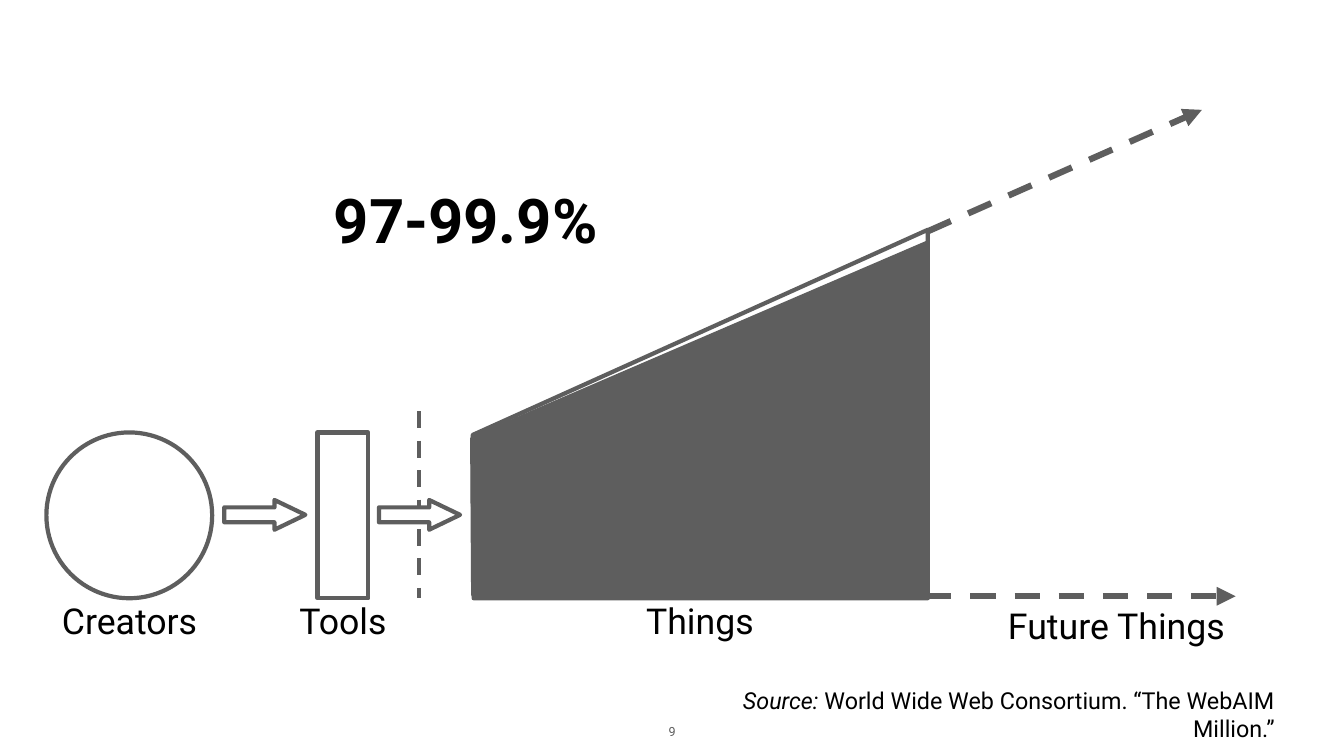
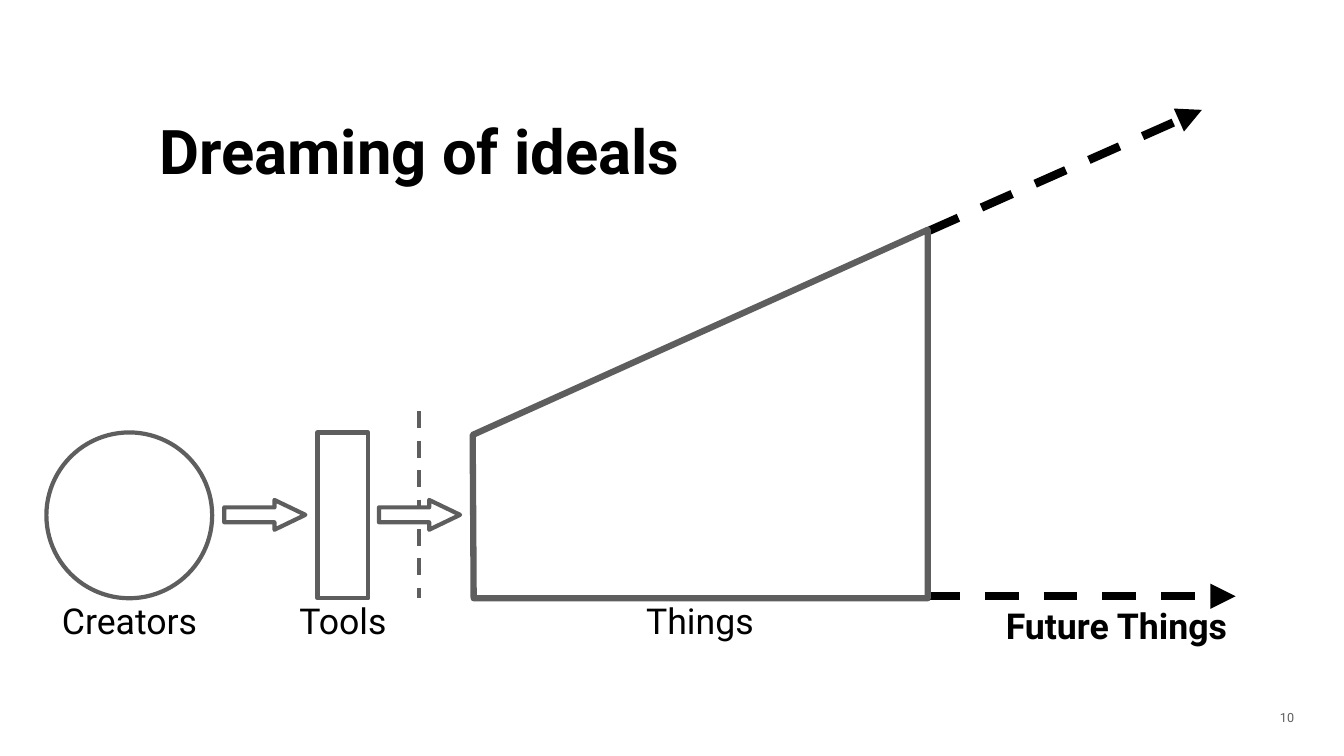
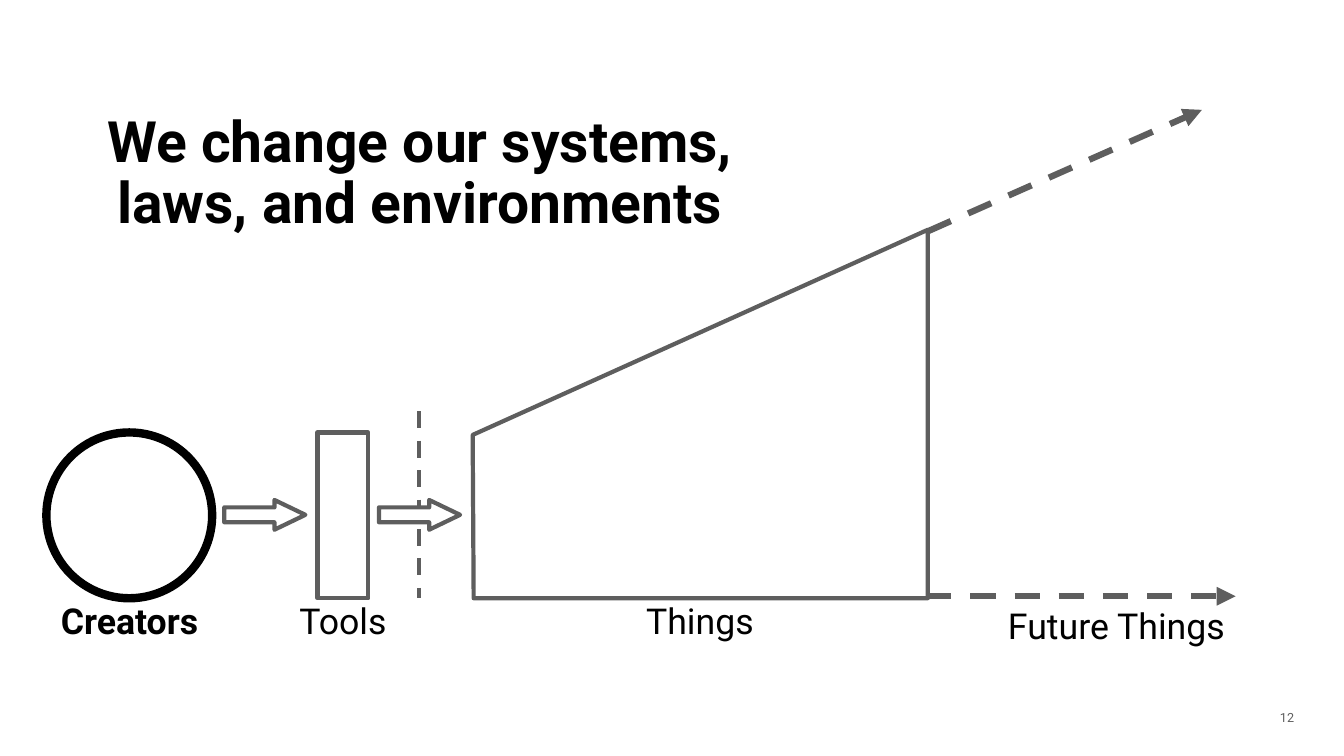
from lxml import etree
from pptx import Presentation
from pptx import util as u
from pptx.dml.color import RGBColor
from pptx.enum import dml, shapes, text
from pptx.oxml import ns

BLACK = RGBColor(0x00, 0x00, 0x00)
GREY = RGBColor(0x5E, 0x5E, 0x5E)
WHITE = RGBColor(0xFF, 0xFF, 0xFF)
FONT = "Roboto"
LEFT, MID, RIGHT = text.PP_ALIGN.LEFT, text.PP_ALIGN.CENTER, text.PP_ALIGN.RIGHT
TOP, LOW = text.MSO_ANCHOR.TOP, text.MSO_ANCHOR.BOTTOM
BASE = 11.87
LABEL_TOP = 11.92
THINGS = [(9.38, 8.63), (9.4, BASE), (18.41, BASE), (18.41, 4.56)]
SHARE = [(9.37, 8.7), (9.39, 11.8), (18.39, 11.8), (18.39, 4.82)]


class Deck:
    def __init__(self):
        self.file = Presentation()
        self.file.slide_width = u.Inches(26.67)
        self.file.slide_height = u.Inches(15)
        self.slide = None

    def start(self):
        self.slide = self.file.slides.add_slide(self.file.slide_layouts[5])
        fill = self.slide.background.fill
        fill.solid()
        fill.fore_color.rgb = WHITE

    def fill_text(self, box, words, size, bold=False, color=BLACK, align=MID,
                  space=1.0, inset=0.06, anchor=TOP):
        frame = box.text_frame
        frame.word_wrap = True
        frame.auto_size = text.MSO_AUTO_SIZE.NONE
        frame.vertical_anchor = anchor
        frame.margin_left = frame.margin_right = u.Inches(inset)
        frame.margin_top = frame.margin_bottom = u.Inches(inset)
        frame.text = words
        para = frame.paragraphs[0]
        para.alignment = align
        para.line_spacing = space
        para.space_before = u.Pt(0)
        for run in para.runs:
            self.style(run, size, bold, color)
        return frame

    def style(self, run, size, bold=False, color=BLACK):
        run.font.name = FONT
        run.font.size = u.Pt(size)
        run.font.bold = bold
        run.font.color.rgb = color

    def title(self, words, left, top, size=88, space=1.0):
        box = self.slide.shapes.title
        box.left, box.top = u.Inches(left), u.Inches(top)
        box.width, box.height = u.Inches(13.39), u.Inches(2.99)
        self.fill_text(box, words, size, bold=True, space=space)

    def text(self, words, left, top, width, height, size, **look):
        box = self.slide.shapes.add_textbox(
            u.Inches(left), u.Inches(top), u.Inches(width), u.Inches(height))
        return self.fill_text(box, words, size, **look)

    def label(self, words, left, width, bold=False):
        self.text(words, left, LABEL_TOP, width, 1.15, 50.9, bold=bold, space=0.9)

    def number(self, words, left=25.09, anchor=TOP):
        frame = self.text(words, left, 14.02, 0.66, 0.7, 18, color=GREY,
                          align=LEFT, anchor=anchor)
        frame.margin_left = u.Inches(0.31)
        frame.margin_right = 0

    def source(self, words):
        frame = self.text("Source: ", 13.33, 13.56, 12.02, 1.16, 33.3,
                          align=RIGHT, inset=0.05)
        para = frame.paragraphs[0]
        para.runs[0].font.italic = True
        run = para.add_run()
        run.text = words
        self.style(run, 33.3)

    def paint(self, shape, fill=WHITE, color=GREY, weight=6):
        shape.shadow.inherit = False
        shape.fill.solid()
        shape.fill.fore_color.rgb = fill
        shape.line.color.rgb = color
        shape.line.width = u.Pt(weight)

    def shape(self, kind, left, top, width, height, **look):
        shape = self.slide.shapes.add_shape(
            kind, u.Inches(left), u.Inches(top), u.Inches(width), u.Inches(height))
        self.paint(shape, **look)
        return shape

    def arrow(self, left):
        shape = self.shape(shapes.MSO_SHAPE.RIGHT_ARROW, left, 9.92, 1.61, 0.59)
        shape.adjustments[1] = 1.04

    def outline(self, points, **look):
        spots = [(u.Inches(x), u.Inches(y)) for x, y in points]
        build = self.slide.shapes.build_freeform(*spots[0])
        build.add_line_segments(spots[1:], close=True)
        self.paint(build.convert_to_shape(), **look)

    def dash(self, start, end, color=GREY, weight=6, head=True):
        line = self.slide.shapes.add_connector(
            shapes.MSO_CONNECTOR.STRAIGHT,
            *(u.Inches(value) for value in start + end))
        line.line.color.rgb = color
        line.line.width = u.Pt(weight)
        line.line.dash_style = dml.MSO_LINE.DASH
        props = line._element.spPr
        if head:
            tip = etree.SubElement(props.find(ns.qn("a:ln")), ns.qn("a:tailEnd"))
            tip.set("type", "triangle")
        etree.SubElement(props, ns.qn("a:effectLst"))

    def future(self, strong):
        look = {"color": BLACK, "weight": 12} if strong else {"weight": 9}
        self.dash((18.41, 4.59), (23.85, 2.18), **look)
        self.dash((18.38, 11.83), (24.52, 11.83), **look)
        self.text("Future Things", 17.95, LABEL_TOP, 8.41, 1.46, 51, bold=strong)

    def model(self, focus=""):
        makers, ahead = focus == "creators", focus == "future"
        self.future(ahead)
        self.label("Creators", 0.63, 3.88, bold=makers)
        self.label("Tools", 4.3, 5.01)
        self.label("Things", 9.51, 8.76)
        ring = {"color": BLACK, "weight": 12} if makers else {}
        self.shape(shapes.MSO_SHAPE.OVAL, 0.92, 8.58, 3.29, 3.29, **ring)
        self.shape(shapes.MSO_SHAPE.RECTANGLE, 6.3, 8.58, 1.01, 3.29)
        self.outline(THINGS, weight=9 if ahead else 6)
        self.dash((8.32, 8.16), (8.32, BASE), head=False)
        for left in (4.45, 7.52):
            self.arrow(left)


def main():
    deck = Deck()

    deck.start()
    deck.title("97-99.9%", 2.55, 3.55)
    deck.model()
    deck.outline(SHARE, fill=GREY)
    deck.source("World Wide Web Consortium. “The WebAIM Million.”")
    deck.number("9", left=12.96, anchor=LOW)

    deck.start()
    deck.title("Dreaming of ideals", 1.63, 2.18)
    deck.model("future")
    deck.number("10")

    deck.start()
    deck.title("We change our systems, laws, and environments", 1.63, 2.18,
               size=81.4, space=0.9)
    deck.model("creators")
    deck.number("12")

    deck.file.save("out.pptx")


if __name__ == "__main__":
    main()
